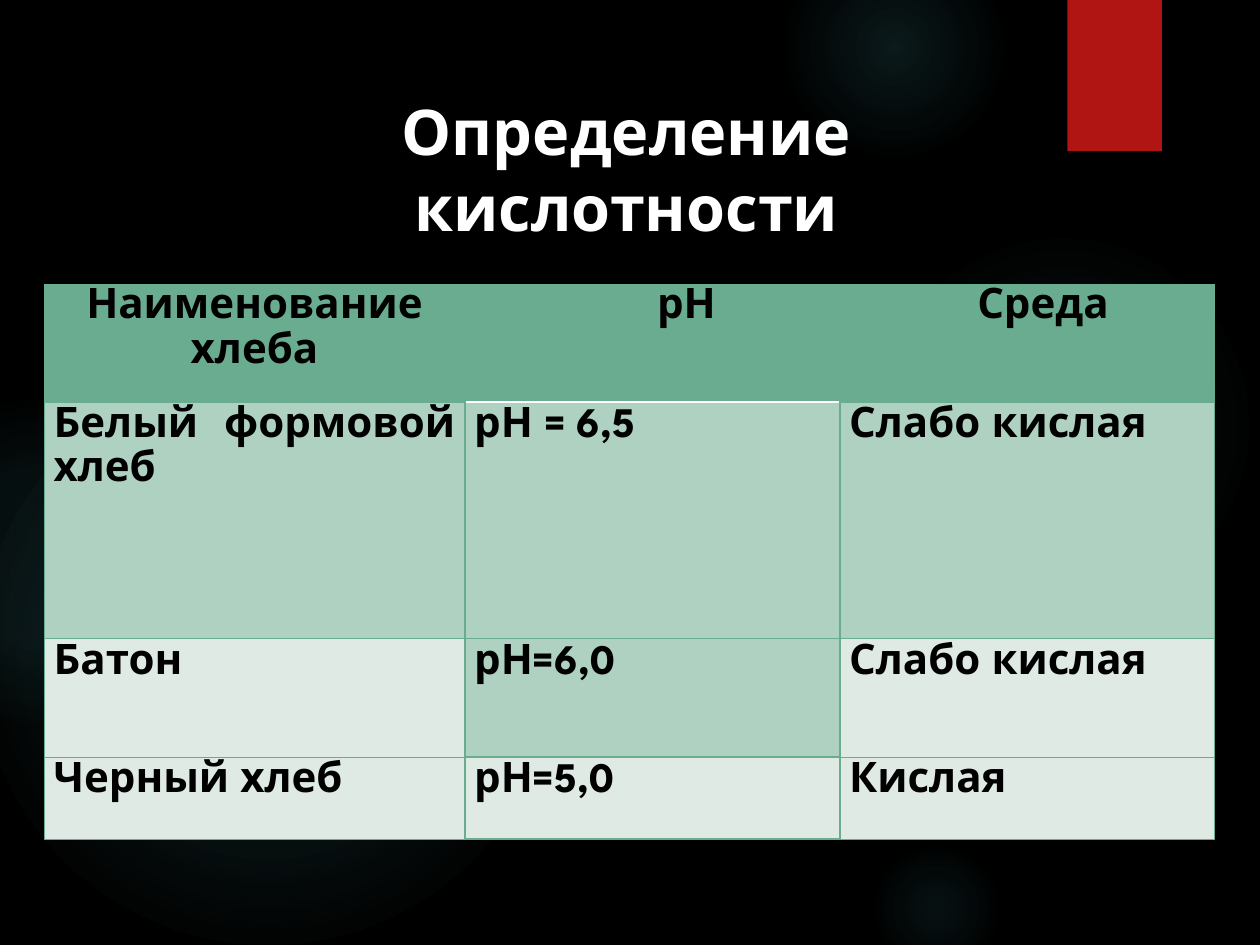
import pptx
import pptx.util
import pptx.dml.color
import pptx.enum.shapes
import pptx.enum.text
import pptx.oxml
import pptx.oxml.ns

Pt = pptx.util.Pt
RGB = pptx.dml.color.RGBColor
Align = pptx.enum.text.PP_ALIGN
Kind = pptx.enum.shapes.MSO_SHAPE

BLACK = RGB(0x00, 0x00, 0x00)
WHITE = RGB(0xFF, 0xFF, 0xFF)
RED = RGB(0xB0, 0x15, 0x13)
TEAL = RGB(0x50, 0xB9, 0xC1)
GREEN = RGB(0x6A, 0xAC, 0x90)
MID = RGB(0xAF, 0xD1, 0xC1)
PALE = RGB(0xDE, 0xEA, 0xE3)

FONT = "League Spartan"
PLAIN = "{2D5ABB26-0587-4C30-8999-92F81FD0307C}"

# Left, top, diameter, then (position, opacity) of each stop in percent
GLOWS = [
    (496, 132, 222, [(0, 7), (36, 6), (69, 0)]),
    (448, -36, 126, [(0, 14), (36, 7), (73, 0)]),
    (496, 480, 78, [(0, 9), (36, 5), (66, 0)]),
    (-12, 210, 330, [(0, 11), (36, 10), (75, 0)]),
    (-66, 228, 186, [(0, 8), (36, 8), (72, 0)]),
]
ROWS = [
    ["Наименование хлеба", "рН", "Среда"],
    ["Белый формовой хлеб", "рН = 6,5", "Слабо кислая"],
    ["Батон", "рН=6,0", "Слабо кислая"],
    ["Черный хлеб", "рН=5,0", "Кислая"],
]
WIDTHS = [240.4, 214.3, 214.3]
HEIGHTS = [67.7, 135.4, 67.7, 46.8]
FILLS = [[GREEN] * 3, [MID] * 3, [PALE, MID, PALE], [PALE] * 3]
INDENTS = [0, 39, 18]  # header text sits right of the column centre


class Deck:
    def __init__(self, wide, high):
        self.prs = pptx.Presentation()
        self.prs.slide_width, self.prs.slide_height = Pt(wide), Pt(high)
        self.slide = self.prs.slides.add_slide(self.prs.slide_layouts[5])
        back = self.slide.background.fill
        back.solid()
        back.fore_color.rgb = BLACK

    def shape(self, kind, left, top, wide, high, color):
        item = self.slide.shapes.add_shape(
            kind, Pt(left), Pt(top), Pt(wide), Pt(high))
        item.shadow.inherit = False
        item.fill.solid()
        item.fill.fore_color.rgb = color
        item.line.fill.background()
        return item

    def glow(self, left, top, size, stops):
        item = self.shape(Kind.OVAL, left, top, size, size, TEAL)
        marks = "".join(
            f'<a:gs pos="{pos * 1000}"><a:srgbClr val="{TEAL}">'
            f'<a:alpha val="{alpha * 1000}"/></a:srgbClr></a:gs>'
            for pos, alpha in stops)
        grad = pptx.oxml.parse_xml(
            f'<a:gradFill {pptx.oxml.ns.nsdecls("a")} rotWithShape="1">'
            f'<a:gsLst>{marks}</a:gsLst><a:path path="circle">'
            '<a:fillToRect l="50000" t="50000" r="50000" b="50000"/>'
            '</a:path></a:gradFill>')
        props = item._element.spPr
        props.replace(props.find(pptx.oxml.ns.qn("a:solidFill")), grad)

    def text(self, para, words, size, color, align):
        para.alignment = align
        run = para.add_run()
        run.text = words
        font = run.font
        font.name, font.size, font.bold = FONT, Pt(size), True
        font.color.rgb = color

    def title(self, words, left, top, wide, high):
        box = self.slide.shapes.title
        box.left, box.top, box.width, box.height = map(
            Pt, (left, top, wide, high))
        frame = box.text_frame
        frame.word_wrap = True
        frame.auto_size = pptx.enum.text.MSO_AUTO_SIZE.NONE
        frame.vertical_anchor = pptx.enum.text.MSO_ANCHOR.TOP
        para = frame.paragraphs[0]
        para.line_spacing = Pt(43.4)
        self.text(para, words, 36, WHITE, Align.CENTER)

    def edge(self, cell, side, color, width):
        line = pptx.oxml.parse_xml(
            f'<a:ln{side} {pptx.oxml.ns.nsdecls("a")} w="{Pt(width)}">'
            f'<a:solidFill><a:srgbClr val="{color}"/></a:solidFill>'
            f'</a:ln{side}>')
        cell._tc.get_or_add_tcPr().append(line)

    def cell(self, cell, row, col):
        head, mid = row == 0, col == 1
        # Borders: heavy around the middle column, white under its header
        if not head:
            self.edge(cell, "L", GREEN, 1.5 if col else 0.75)
            self.edge(cell, "R", GREEN, 0.75 if col == 2 else 1.5)
            first = mid and row == 1
            heavy = mid and row != 2
            self.edge(cell, "T", WHITE if first else GREEN,
                      1.5 if heavy else 0.75)
        if mid or not head:
            self.edge(cell, "B", WHITE if head else GREEN,
                      1.5 if mid and row != 1 else 0.75)
        cell.fill.solid()
        cell.fill.fore_color.rgb = FILLS[row][col]
        cell.margin_left = cell.margin_right = Pt(5.4)
        cell.margin_top = cell.margin_bottom = 0
        para = cell.text_frame.paragraphs[0]
        para.line_spacing = 1.15
        if head and INDENTS[col]:
            para._p.get_or_add_pPr().set("marL", str(Pt(INDENTS[col])))
        self.text(para, ROWS[row][col], 24, BLACK,
                  Align.CENTER if head else Align.JUSTIFY)

    def table(self, left, top):
        frame = self.slide.shapes.add_table(
            len(ROWS), len(WIDTHS), Pt(left), Pt(top),
            Pt(sum(WIDTHS)), Pt(sum(HEIGHTS)))
        grid = frame.table
        grid.horz_banding = False
        style = pptx.oxml.ns.qn("a:tableStyleId")
        grid._tbl.tblPr.find(style).text = PLAIN
        for col, wide in enumerate(WIDTHS):
            grid.columns[col].width = Pt(wide)
        for row, high in enumerate(HEIGHTS):
            grid.rows[row].height = Pt(high)
            for col in range(len(WIDTHS)):
                self.cell(grid.cell(row, col), row, col)


def main():
    deck = Deck(720, 540)
    # Backdrop
    for glow in GLOWS:
        deck.glow(*glow)
    deck.shape(Kind.RECTANGLE, 610, 0, 54, 86.4, RED)
    # Content
    deck.table(25.2, 162)
    deck.title("Определение кислотности", 158, 49, 400, 95)
    deck.prs.save("out.pptx")


if __name__ == "__main__":
    main()
